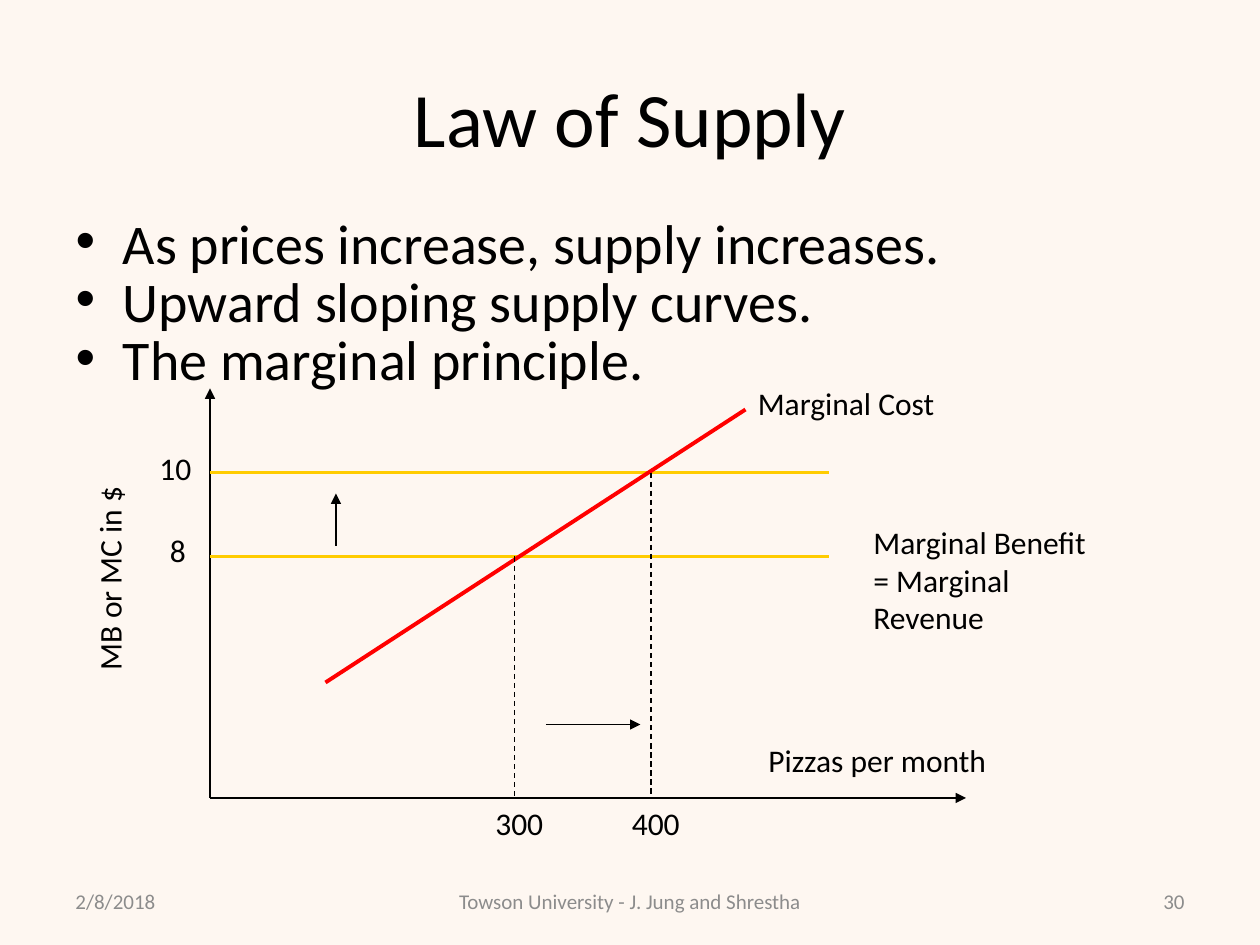
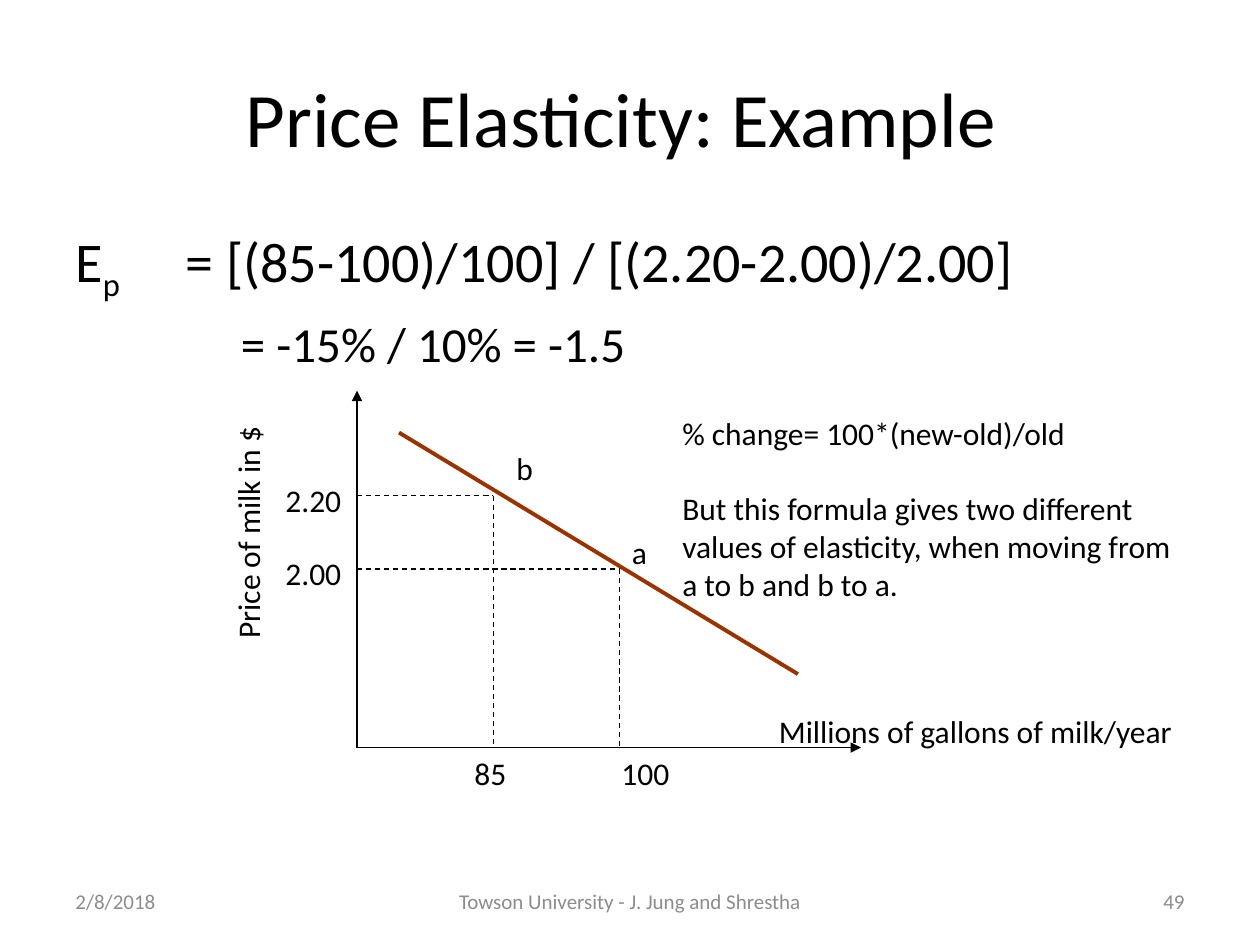
from dataclasses import dataclass
from typing import Any

from pptx import Presentation
from pptx.dml.color import RGBColor
from pptx.enum.dml import MSO_LINE
from pptx.enum.shapes import MSO_CONNECTOR
from pptx.enum.text import MSO_ANCHOR, MSO_AUTO_SIZE, PP_ALIGN
from pptx.oxml.ns import qn
from pptx.util import Inches, Pt

BLACK = RGBColor(0x00, 0x00, 0x00)
WHITE = RGBColor(0xFF, 0xFF, 0xFF)
CREAM = RGBColor(0xFE, 0xF7, 0xF1)
GREY = RGBColor(0x8C, 0x8C, 0x8C)
GOLD = RGBColor(0xFF, 0xCC, 0x00)
RED = RGBColor(0xFF, 0x00, 0x00)
BROWN = RGBColor(0x99, 0x33, 0x00)

FONT = "Calibri"
TITLE_SIZE, BODY_SIZE, RESULT_SIZE, LABEL_SIZE, FOOTER_SIZE = 44, 32, 28, 18, 12
THIN, THICK = 0.75, 2.25

# The slide is a grid of 120 columns by 90 rows of square cells.
COLUMNS, ROWS = 120, 90
CELL = Inches(10) // COLUMNS
LABEL_ROWS = 4.8

# Boxes are left, top, width and height in cells.
TITLE_BOX = (6, 3.6, 108, 15)
BODY_BOX = (6, 21, 108, 59.4)
SHORT_BODY_BOX = (6, 21, 108, 19)
DATE_BOX = (6, 83.4, 28, LABEL_ROWS)
CREDIT_BOX = (41, 83.4, 38, LABEL_ROWS)
NUMBER_BOX = (86, 83.4, 28, LABEL_ROWS)


def cells(*counts):
    return [round(count * CELL) for count in counts]


def add_span(para, text, size, color=BLACK):
    span = para.add_run()
    span.text = text
    span.font.name = FONT
    span.font.size = Pt(size)
    span.font.color.rgb = color
    return span


def add_text(page, box, lines, size=LABEL_SIZE, color=BLACK, align=PP_ALIGN.LEFT):
    shape = page.shapes.add_textbox(*cells(*box))
    frame = shape.text_frame
    frame.word_wrap = True
    for index, line in enumerate(lines):
        para = frame.paragraphs[0] if index == 0 else frame.add_paragraph()
        para.alignment = align
        add_span(para, line, size, color)
    return shape


def place(shape, box):
    shape.left, shape.top, shape.width, shape.height = cells(*box)


@dataclass
class Diagram:
    """A pair of axes in a box of cells; its parts count from the top left corner."""

    page: Any
    left: float
    top: float
    width: float
    height: float

    def line(self, start, end, color=BLACK, weight=THIN, dashed=False, arrow=False):
        (x1, y1), (x2, y2) = start, end
        ends = cells(self.left + x1, self.top + y1, self.left + x2, self.top + y2)
        connector = self.page.shapes.add_connector(MSO_CONNECTOR.STRAIGHT, *ends)
        connector.line.color.rgb = color
        connector.line.width = Pt(weight)
        if dashed:
            connector.line.dash_style = MSO_LINE.DASH
        properties = connector._element.spPr
        if arrow:
            outline = properties.find(qn("a:ln"))
            head = outline.makeelement(qn("a:tailEnd"), {"type": "triangle"})
            outline.append(head)
        properties.append(properties.makeelement(qn("a:effectLst"), {}))

    def axes(self):
        origin = (0, self.height)
        self.line(origin, (0, 0), arrow=True)
        self.line(origin, (self.width, self.height), arrow=True)

    def label(self, column, row, width, *lines, height=LABEL_ROWS, rotation=0):
        box = (self.left + column, self.top + row, width, height)
        shape = add_text(self.page, box, lines)
        shape.rotation = rotation
        return shape


def add_page(deck, title, background, body_box, number):
    """Add a slide with its title, footers and an empty, placed body."""
    page = deck.slides.add_slide(deck.slide_layouts[1])
    page.background.fill.solid()
    page.background.fill.fore_color.rgb = background
    place(page.shapes.title, TITLE_BOX)
    add_span(page.shapes.title.text_frame.paragraphs[0], title, TITLE_SIZE)
    body = page.placeholders[1]
    place(body, body_box)
    body.text_frame.auto_size = MSO_AUTO_SIZE.NONE
    footers = (
        (DATE_BOX, "2/8/2018", PP_ALIGN.LEFT),
        (CREDIT_BOX, "Towson University - J. Jung and Shrestha", PP_ALIGN.CENTER),
        (NUMBER_BOX, number, PP_ALIGN.RIGHT),
    )
    for box, text, align in footers:
        footer = add_text(page, box, [text], FOOTER_SIZE, GREY, align)
        footer.text_frame.vertical_anchor = MSO_ANCHOR.MIDDLE
    return page, body.text_frame


def fill_supply_points(frame):
    points = (
        "As prices increase, supply increases.",
        "Upward sloping supply curves.",
        "The marginal principle.",
    )
    for index, point in enumerate(points):
        para = frame.paragraphs[0] if index == 0 else frame.add_paragraph()
        para.line_spacing = 0.7
        para.space_before = Pt(0.2 * BODY_SIZE if index else 0)
        add_span(para, point, BODY_SIZE)


def draw_supply(page, box):
    diagram = Diagram(page, *box)
    floor = diagram.height
    diagram.axes()
    for price_row in (8, 16):
        diagram.line((0, price_row), (59, price_row), GOLD, THICK)
    diagram.line((11, 28), (51, 2), RED, THICK)
    for quantity, column, price_row in (("300", 29, 16), ("400", 42, 8)):
        diagram.line((column, price_row), (column, floor), dashed=True)
        diagram.label(column - 3, floor, 11, quantity)
    diagram.line((12, 15), (12, 10), arrow=True)
    diagram.line((32, 32), (41, 32), arrow=True)
    diagram.label(-6, 5.2, 8, "10")
    diagram.label(-5, 13, 5, "8")
    diagram.label(-27.6, 7.6, 36, "MB or MC in $", rotation=270)
    diagram.label(51, -1, 24, "Marginal Cost")
    diagram.label(52, 33, 30, "Pizzas per month")
    diagram.label(62, 12.2, 24, "Marginal Benefit = Marginal Revenue", height=12.1)


def fill_elasticity_formula(frame):
    formula = frame.paragraphs[0]
    result = frame.add_paragraph()
    result.level = 1
    formula.space_before = Pt(0)
    result.space_before = Pt(0.2 * RESULT_SIZE)
    for para in (formula, result):
        properties = para._p.get_or_add_pPr()
        properties.append(properties.makeelement(qn("a:buNone"), {}))
    add_span(formula, "E", BODY_SIZE)
    subscript = add_span(formula, "p\t\t", BODY_SIZE)
    subscript._r.get_or_add_rPr().set("baseline", "-25000")
    add_span(formula, "= [(85-100)/100] / [(2.20-2.00)/2.00]", BODY_SIZE)
    add_span(result, "\t\t= -15% / 10% = -1.5", RESULT_SIZE)


def draw_demand(page, box):
    diagram = Diagram(page, *box)
    floor = diagram.height
    diagram.axes()
    diagram.line((4, 4), (42, 27), BROWN, THICK)
    for price, column, row in (("2.20", 13, 10), ("2.00", 25, 17)):
        diagram.line((0, row), (column, row), dashed=True)
        diagram.line((column, row), (column, floor), dashed=True)
        diagram.label(-8, row - 2, 10, price)
    diagram.label(10, floor, 8, "85")
    diagram.label(24, floor, 8, "100")
    diagram.label(39, 30, 48, "Millions of gallons of milk/year")
    diagram.label(25, 13, 8, "a")
    diagram.label(14, 5, 5, "b")
    diagram.label(-21.9, 10.9, 23, "Price of milk in $", rotation=270)
    note = diagram.label(
        29.8, 1.6, 49.6,
        "% change= 100*(new-old)/old",
        "But this formula gives two different",
        "values of elasticity, when moving from",
        "a to b and b to a.",
        height=19.4,
    )
    note.text_frame.paragraphs[1].space_before = Pt(1.2 * LABEL_SIZE)


def main():
    deck = Presentation()
    deck.slide_width, deck.slide_height = cells(COLUMNS, ROWS)

    page, body = add_page(deck, "Law of Supply", CREAM, SHORT_BODY_BOX, "30")
    fill_supply_points(body)
    draw_supply(page, (20, 37, 72, 39))

    page, body = add_page(deck, "Price Elasticity: Example ", WHITE, BODY_BOX, "49")
    fill_elasticity_formula(body)
    draw_demand(page, (34, 37.2, 48, 34))

    deck.save("out.pptx")


if __name__ == "__main__":
    main()
